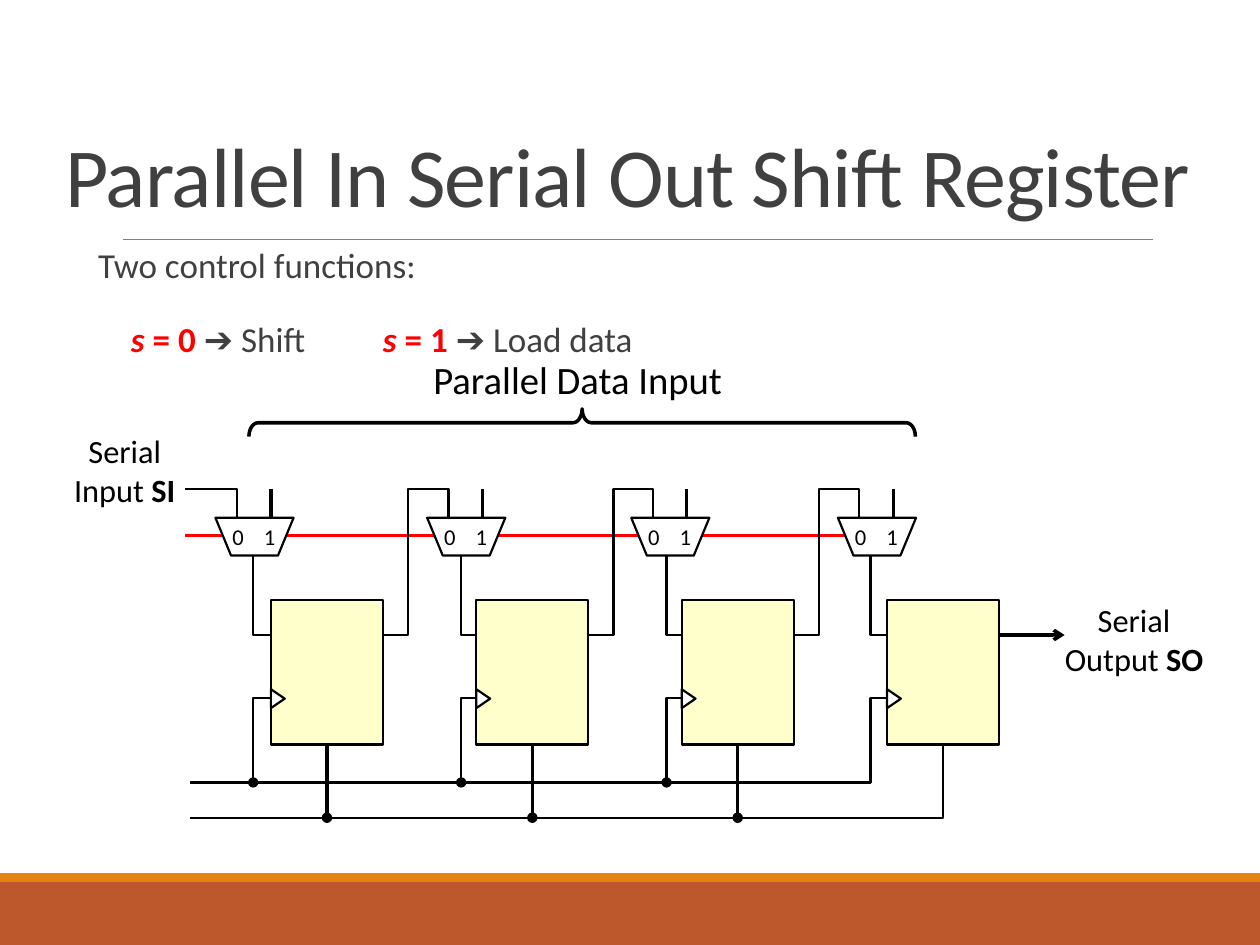
from lxml.etree import SubElement
from pptx import Presentation
from pptx.dml.color import RGBColor
from pptx.enum.shapes import MSO_CONNECTOR, MSO_SHAPE as SHAPE
from pptx.enum.text import MSO_ANCHOR as ANCHOR, PP_ALIGN as ALIGN
from pptx.oxml.ns import qn
from pptx.util import Inches, Pt

BLACK = RGBColor(0x00, 0x00, 0x00)
WHITE = RGBColor(0xFF, 0xFF, 0xFF)
RED = RGBColor(0xFF, 0x00, 0x00)
DARK = RGBColor(0x40, 0x40, 0x40)
GRAY = RGBColor(0x80, 0x80, 0x80)
YELLOW = RGBColor(0xFF, 0xFF, 0xCC)
RUST = RGBColor(0xBD, 0x58, 0x2C)
ORANGE = RGBColor(0xE4, 0x83, 0x12)
THIN, THICK = 1.25, 2

# Paragraphs are lists of (text, style) runs; styles: b bold, i italic, r red
TITLE = [[("Parallel In Serial Out Shift Register", "")]]
FUNCTIONS = [
    [("Two control functions:", "")],
    [("s", "bir"), (" = 0 ", "br"), ("➔ Shift\t\t", ""),
     ("s", "bir"), (" = 1 ", "br"), ("➔ Load data", "")],
]
LABELS = [  # box, size, paragraphs
    ((3.37, 2.77, 2.43, 0.47), 22.1, [[("Parallel Data Input", "")]]),
    ((0.52, 3.35, 0.94, 0.76), 18.5, [[("Serial", "")], [("Input ", ""), ("SI", "b")]]),
    ((8.29, 4.69, 1.42, 0.76), 18.5, [[("Serial", "")], [("Output ", ""), ("SO", "b")]]),
]

# One stage = multiplexer above a flip-flop
MUX_X = [1.71, 3.39, 5.01, 6.65]
DROP_X = [2.01, 3.66, 5.29, 6.91]  # vertical wires left of each flip-flop
FF_X = [2.15 + 1.63 * i for i in range(4)]
FF_Y, FF_W, FF_H = 4.76, 0.89, 1.15
MUX_Y, MUX_W, MUX_H = 4.11, 0.62, 0.3
MUX_PINS = {"0": 0.17, "1": 0.44}
INPUT_Y, SELECT_Y, DATA_Y, CLOCK_Y = 3.88, 4.25, 5.04, 5.54
CLOCK_BUS_Y, LOWER_BUS_Y, BUS_X = 6.21, 6.49, 1.51

prs = Presentation()
prs.slide_width, prs.slide_height = Inches(10), Inches(7.5)
shapes = prs.slides.add_slide(prs.slide_layouts[6]).shapes


def style_line(sp, color, width, head=None):
    sp.line.color.rgb = color
    sp.line.width = Pt(width)
    if head:
        SubElement(sp.line._get_or_add_ln(), qn("a:headEnd"), type=head)


def add_shape(kind, box, fill=None, line=None, width=THIN, rotation=0):
    sp = shapes.add_shape(kind, *map(Inches, box))
    sp.shadow.inherit = False
    sp.rotation = rotation
    if fill is None:
        sp.fill.background()
    else:
        sp.fill.solid()
        sp.fill.fore_color.rgb = fill
    if line is None:
        sp.line.fill.background()
    else:
        style_line(sp, line, width)
    return sp


def add_line(start, end, color=BLACK, width=THICK, head=None):
    line = shapes.add_connector(MSO_CONNECTOR.STRAIGHT, *map(Inches, start + end))
    style_line(line, color, width, head)
    SubElement(line._element.spPr, qn("a:effectLst"))
    return line


def add_wire(*points, head=None):
    """Draw an open, unfilled path with right-angle bends."""
    first, *rest = [(Inches(x), Inches(y)) for x, y in points]
    builder = shapes.build_freeform(*first)
    builder.add_line_segments(rest, close=False)
    sp = builder.convert_to_shape()
    sp.shadow.inherit = False
    sp.fill.background()
    style_line(sp, BLACK, THIN, head)


def add_text(box, paragraphs, size, color=BLACK, align=ALIGN.CENTER,
             anchor=ANCHOR.MIDDLE, insets=(0, 0), wrap=True):
    tf = shapes.add_textbox(*map(Inches, box)).text_frame
    tf.word_wrap = wrap
    tf.vertical_anchor = anchor
    tf.margin_left = tf.margin_right = Inches(insets[0])
    tf.margin_top = tf.margin_bottom = Inches(insets[1])
    for i, runs in enumerate(paragraphs):
        p = tf.paragraphs[0] if i == 0 else tf.add_paragraph()
        p.alignment = align
        p.font.name, p.font.size = "Calibri", Pt(size)
        p.font.color.rgb = color
        for text, style in runs:
            r = p.add_run()
            r.text = text
            if "b" in style:
                r.font.bold = True
            if "i" in style:
                r.font.italic = True
            if "r" in style:
                r.font.color.rgb = RED
    return tf


# Slide frame and headings
add_shape(SHAPE.RECTANGLE, (0, 7, 10, 0.5), RUST)
add_shape(SHAPE.RECTANGLE, (0, 6.93, 10, 0.07), ORANGE)
add_line((0.98, 1.9), (9.15, 1.9), GRAY, 0.5)

title = add_text((0.42, 0.75, 9.15, 1.08), TITLE, 48, DARK, ALIGN.LEFT,
                 ANCHOR.BOTTOM, (0.1, 0.05)).paragraphs[0]
title.line_spacing = 0.85
title.runs[0].font._element.set("spc", "-50")

body = add_text((0.68, 1.92, 6.83, 1.1), FUNCTIONS, 20, DARK, ALIGN.LEFT,
                ANCHOR.TOP, (0, 0.05))
for p, indent, before in zip(body.paragraphs, (0.1, 0.36), (0, 18.5)):
    p.line_spacing = 0.9
    p.space_before, p.space_after = Pt(before), Pt(2)
    p._p.get_or_add_pPr().set("marL", str(Inches(indent)))

# Wires shared by the stages
add_line((1.47, SELECT_Y), (MUX_X[-1] + 0.26, SELECT_Y), RED)
add_wire((FF_X[-1], CLOCK_Y), (DROP_X[-1], CLOCK_Y),
         (DROP_X[-1], CLOCK_BUS_Y), (BUS_X, CLOCK_BUS_Y))
last_mid = FF_X[-1] + FF_W / 2
add_wire((last_mid, FF_Y + FF_H), (last_mid, LOWER_BUS_Y), (BUS_X, LOWER_BUS_Y))

# Stages
for i, (mux_x, drop_x, ff_x) in enumerate(zip(MUX_X, DROP_X, FF_X)):
    add_wire((drop_x, MUX_Y + MUX_H), (drop_x, DATA_Y), (ff_x, DATA_Y))
    shift_in = mux_x + MUX_PINS["0"]
    if i == 0:
        source = [(1.47, INPUT_Y)]
    else:
        out_x = FF_X[i - 1] + FF_W
        source = [(out_x, DATA_Y), (out_x + 0.2, DATA_Y), (out_x + 0.2, INPUT_Y)]
    add_wire(*source, (shift_in, INPUT_Y), (shift_in, MUX_Y))
    load_in = mux_x + MUX_PINS["1"]
    add_line((load_in, INPUT_Y), (load_in, MUX_Y))

    ff = add_shape(SHAPE.RECTANGLE, (ff_x, FF_Y, FF_W, FF_H), YELLOW, BLACK)
    add_shape(SHAPE.ISOSCELES_TRIANGLE, (ff_x - 0.02, 5.49, 0.15, 0.11),
              WHITE, BLACK, rotation=90)
    if i < len(FF_X) - 1:
        add_wire((drop_x, CLOCK_BUS_Y), (drop_x, CLOCK_Y), (ff_x, CLOCK_Y), head="oval")
        mid = ff_x + FF_W / 2
        add_line((mid, LOWER_BUS_Y), (mid, FF_Y + FF_H), head="oval").end_connect(ff, 2)

    add_shape(SHAPE.FLOWCHART_MANUAL_OPERATION, (mux_x, MUX_Y, MUX_W, MUX_H), WHITE, BLACK)
    for digit, offset in (("0", 0.1), ("1", 0.35)):
        add_text((mux_x + offset, 4.14, 0.16, 0.24), [[(digit, "")]], 12.9, wrap=False)

# Output arrow, brace and labels
add_line((8.45, DATA_Y), (FF_X[-1] + FF_W, DATA_Y), head="arrow")
brace = add_shape(SHAPE.RIGHT_BRACE, (4.51, 0.71, 0.22, 5.29), None, BLACK, THICK, 270)
brace.adjustments[0], brace.adjustments[1] = 0.33, 0.5
for box, size, paragraphs in LABELS:
    add_text(box, paragraphs, size)

prs.save("out.pptx")
